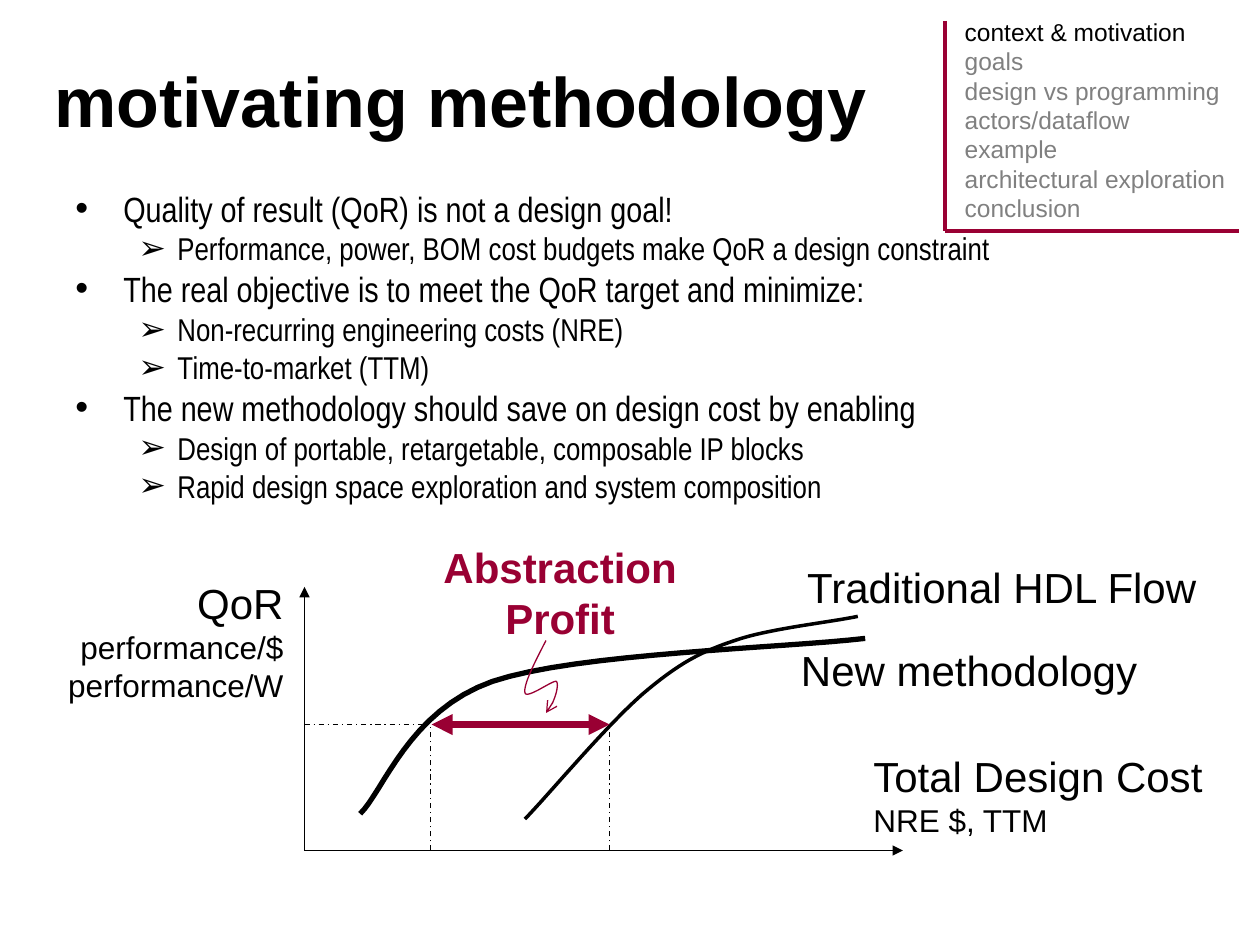
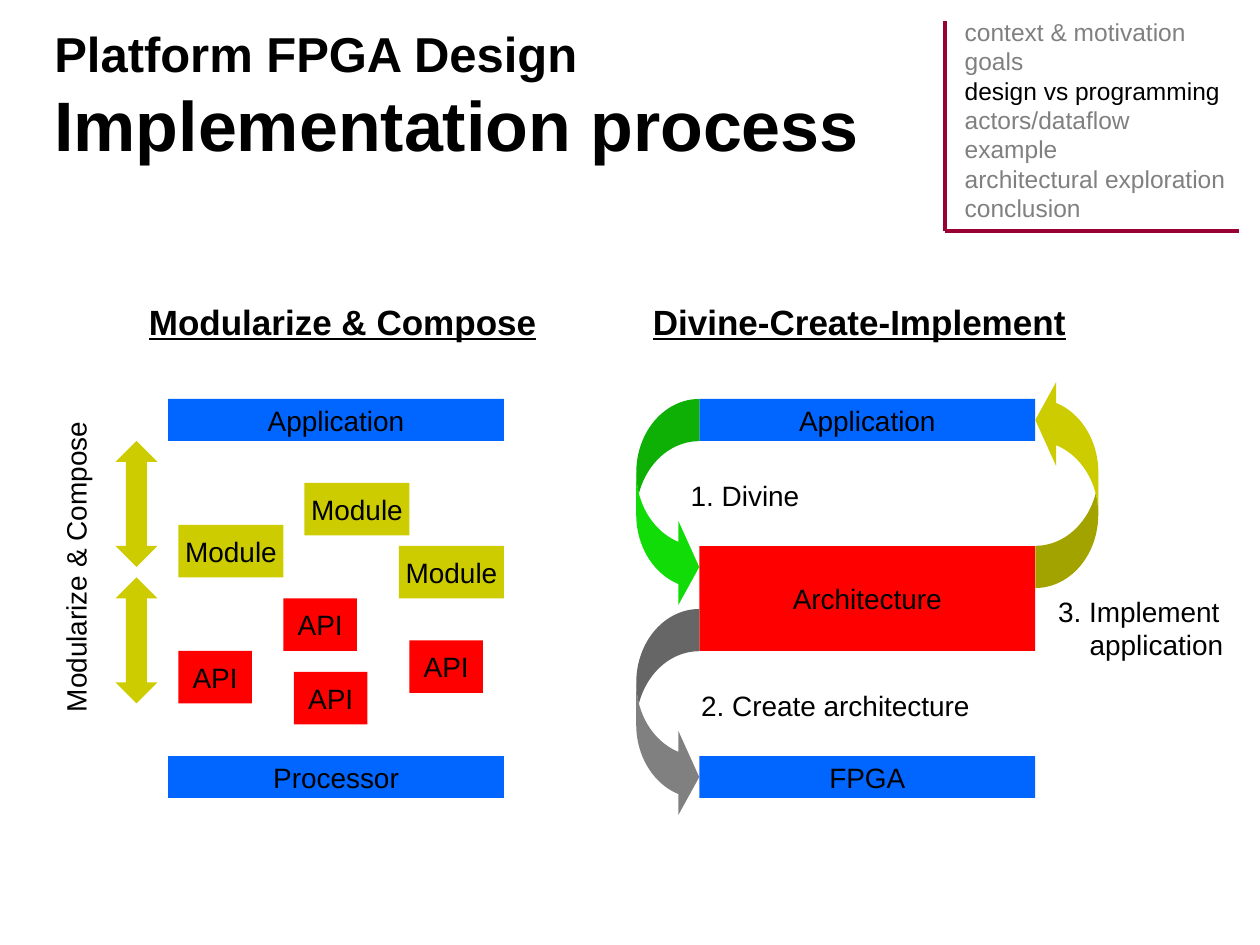
import pptx
import pptx.util
import pptx.dml.color
import pptx.enum.dml
import pptx.enum.shapes
import pptx.enum.text
import pptx.oxml.ns
import lxml.etree

COLORS = {
    "ink": "000000", "muted": "808080", "accent": "990033", "blue": "0066FF",
    "red": "FF0000", "olive": "CCCC00", "green": "12DC08",
}
RGB = {name: pptx.dml.color.RGBColor.from_string(value) for name, value in COLORS.items()}
CELL = pptx.util.Inches(1) / 12  # the slide is a grid of 120 columns by 90 rows
SHAPE = pptx.enum.shapes.MSO_SHAPE
ALIGN = pptx.enum.text.PP_ALIGN
ANCHOR = pptx.enum.text.MSO_ANCHOR
FIT_SHAPE = pptx.enum.text.MSO_AUTO_SIZE.SHAPE_TO_FIT_TEXT
STRAIGHT = pptx.enum.shapes.MSO_CONNECTOR.STRAIGHT
DASH_DOT = pptx.enum.dml.MSO_LINE.DASH_DOT
qn = pptx.oxml.ns.qn


def add_text(page, at, paragraphs, align=ALIGN.LEFT, wrap=False, inset=True, fill=None,
             anchor=ANCHOR.TOP, color="ink", **font):
    """Each paragraph is a list of (text, font values); with a fill the box is a rectangle."""
    place = [round(value * CELL) for value in at]
    if fill:
        box = page.shapes.add_shape(SHAPE.RECTANGLE, *place)
        box.shadow.inherit = False
        box.fill.solid()
        box.fill.fore_color.rgb = RGB[fill]
        box.line.fill.background()
    else:
        box = page.shapes.add_textbox(*place)
    frame = box.text_frame
    frame.word_wrap, frame.vertical_anchor = wrap, anchor
    if not wrap and not fill:
        frame.auto_size = FIT_SHAPE  # an unwrapped label grows with its text
    for side, inches in {"left": 0.1, "top": 0.05, "right": 0.1, "bottom": 0.05}.items():
        setattr(frame, f"margin_{side}", pptx.util.Inches(inches if inset else 0))
    for index, spans in enumerate(paragraphs):
        para = frame.add_paragraph() if index else frame.paragraphs[0]
        para.alignment = align
        for text, changes in spans:
            values = {"name": "Arial", "size": 16, "color": color, **font, **changes}
            tint = RGB[values.pop("color")]
            values["size"] = pptx.util.Pt(values["size"])
            for number, line in enumerate(text.split("\n")):
                if number:
                    para.add_line_break()
                if not line:
                    continue
                span = para.add_run()
                span.text = line
                span.font.color.rgb = tint
                for key, value in values.items():
                    setattr(span.font, key, value)
    return box


def style_line(shape, color, width, dash=None, **ends):
    shape.line.color.rgb = RGB[color]
    shape.line.width = pptx.util.Pt(width)
    if dash:
        shape.line.dash_style = dash
    properties = shape._element.spPr
    for end in ("head", "tail"):
        if end in ends:
            lxml.etree.SubElement(properties.find(qn("a:ln")), qn(f"a:{end}End"), type=ends[end])
    lxml.etree.SubElement(properties, qn("a:effectLst"))


deck = pptx.Presentation()
deck.slide_width, deck.slide_height = round(120 * CELL), round(90 * CELL)

# Title and agenda corner of both slides
agenda = ["context & motivation", "goals", "design vs programming", "actors/dataflow",
          "example", "architectural exploration", "conclusion"]
titles = [
    ((4, 2, 108.8, 15), [("motivating methodology", {})], "context & motivation"),
    ((4, 2.5, 108, 13), [("Platform FPGA Design\n", {"size": 28}),
                         ("Implementation process", {})], "design vs programming"),
]
pages = []
for place, title, current in titles:
    page = deck.slides.add_slide(deck.slide_layouts[6])
    add_text(page, place, [title], wrap=True, anchor=ANCHOR.MIDDLE, size=40, bold=True)
    add_text(page, (90.7, 1, 27.4, 20.9),
             [[(topic, {"color": "ink" if topic == current else "muted"})] for topic in agenda],
             size=14)
    for ends in [(90, 2, 90, 22), (118, 22, 90, 22)]:
        rule = page.shapes.add_connector(STRAIGHT, *[round(value * CELL) for value in ends])
        style_line(rule, "accent", 2)
    pages.append(page)
motivation, process = pages

# Slide 1: bullets
points = [
    (0, "Quality of result (QoR) is not a design goal!"),
    (1, "Performance, power, BOM cost budgets make QoR a design constraint"),
    (0, "The real objective is to meet the QoR target and minimize:"),
    (1, "Non-recurring engineering costs (NRE)"),
    (1, "Time-to-market (TTM)"),
    (0, "The new methodology should save on design cost by enabling"),
    (1, "Design of portable, retargetable, composable IP blocks"),
    (1, "Rapid design space exploration and system composition"),
]
levels = [
    {"size": 20, "before": 5, "left": 0.38, "hang": -0.38, "bullet": "•"},
    {"size": 18, "before": 4.5, "left": 0.81, "hang": -0.31, "bullet": "➢"},
]
body = add_text(motivation, (6, 18, 104, 34),
                [[(text, {"size": levels[level]["size"]})] for level, text in points],
                wrap=True, name="Arial Narrow")
for index, (para, (level, text)) in enumerate(zip(body.text_frame.paragraphs, points)):
    look = levels[level]
    para.level, para.line_spacing = level, 0.8
    para.space_before = pptx.util.Pt(look["before"] if index else 0)
    properties = para._p.get_or_add_pPr()
    properties.set("marL", str(pptx.util.Inches(look["left"])))
    properties.set("indent", str(pptx.util.Inches(look["hang"])))
    lxml.etree.SubElement(properties, qn("a:buSzPct"), val="105000")
    lxml.etree.SubElement(properties, qn("a:buFont"), typeface="Arial")
    lxml.etree.SubElement(properties, qn("a:buChar"), char=look["bullet"])

# Slide 1: cost and quality diagram
small = {"size": 18}
diagram_labels = [
    ((82, 70.9, 35, 9.6), [("Total Design Cost\n", {}), ("NRE $, TTM", small)], {}),
    ((75.7, 52.9, 41.6, 6), [("Traditional HDL Flow", {})], {}),
    ((75.1, 60.8, 37.3, 6), [("New methodology", {})], {}),
    ((4, 55, 23, 12), [("QoR\n", {}), ("performance/$\nperformance/W", small)],
     {"align": ALIGN.RIGHT, "inset": False}),
    ((36.8, 51, 33.1, 10.8), [("Abstraction\nProfit", {})],
     {"align": ALIGN.CENTER, "color": "accent", "bold": True}),
]
for place, spans, look in diagram_labels:
    add_text(motivation, place, [spans], wrap=True, size=24, **look)

# Each curve is a chain of cubic segments: a start, then three points per segment
curves = [
    ([(34.3, 77.5), (36.5, 75.4), (38.9, 67.7), (46.9, 64.9),
      (54.8, 62.2), (75, 61.7), (82.4, 60.8)], ("ink", 3), {}),
    ([(50, 78), (52, 76), (58.3, 68.4), (61.8, 65.6), (65.2, 62.8), (67.2, 61.9),
      (70.6, 60.8), (73.9, 59.8), (79.4, 59.2), (81.7, 58.7)], ("ink", 2), {}),
    ([(52, 61), (50.9, 63.1), (49.8, 65.3), (50, 66), (50.2, 66.6), (52.7, 64.7),
      (53, 64.9), (53.3, 65.3), (52.7, 67.2), (52, 67.9)], ("accent", 0.75), {"tail": "arrow"}),
]
STEPS = 16
for knots, pen, ends in curves:
    trace = []
    for first in range(0, len(knots) - 1, 3):
        for step in range(1, STEPS + 1):
            t = step / STEPS
            weights = [(1 - t) ** 3, 3 * t * (1 - t) ** 2, 3 * t * t * (1 - t), t ** 3]
            trace.append([sum(weight * knot[axis] for weight, knot
                              in zip(weights, knots[first:first + 4])) * CELL
                          for axis in (0, 1)])
    builder = motivation.shapes.build_freeform(*[round(value * CELL) for value in knots[0]])
    builder.add_line_segments(trace, close=False)
    curve = builder.convert_to_shape()
    curve.fill.background()
    style_line(curve, *pen, **ends)

axis_style = {"color": "ink", "width": 0.75, "tail": "triangle"}
guide_style = {"color": "ink", "width": 0.75, "dash": DASH_DOT}
profit_style = {"color": "accent", "width": 4, "head": "triangle", "tail": "triangle"}
for ends, look in [
    ((29, 81, 86, 81), axis_style),
    ((29, 81, 29, 55.9), axis_style),
    ((58.05, 81, 58.05, 69), guide_style),
    ((41, 81, 41, 69), guide_style),
    ((29, 69, 41, 69), guide_style),
    ((58.05, 69, 41.1, 69), profit_style),
]:
    line = motivation.shapes.add_connector(STRAIGHT, *[round(value * CELL) for value in ends])
    style_line(line, **look)

# Slide 2: blocks, grouped by size and colour
LEFT_STACK, RIGHT_STACK = 16, 66.6
blocks = [
    ("blue", 32, 4, [("Application", LEFT_STACK, 38), ("Processor", LEFT_STACK, 72),
                     ("Application", RIGHT_STACK, 38), ("FPGA", RIGHT_STACK, 72)]),
    ("red", 32, 10, [("Architecture", RIGHT_STACK, 52)]),
    ("red", 7, 5, [("API", 17, 62), ("API", 28, 64), ("API", 27, 57), ("API", 39, 61)]),
    ("olive", 10, 5, [("Module", 17, 50), ("Module", 29, 46), ("Module", 38, 52)]),
]
for fill, width, height, members in blocks:
    for text, left, top in members:
        add_text(process, (left, top, width, height), [[(text, {})]], fill=fill,
                 align=ALIGN.CENTER, anchor=ANCHOR.MIDDLE)

# Slide 2: arrows
turn = (SHAPE.CURVED_RIGHT_ARROW, (0.67, 1.33, 0.33), 6, 20)
span_arrow = (SHAPE.UP_DOWN_ARROW, (0.5, 0.6), 4, 12)
for (kind, adjustments, width, height), left, top, fill, rotation in [
    (turn, RIGHT_STACK - 6, 38, "green", 0),
    (turn, RIGHT_STACK - 6, 58, "muted", 0),
    (turn, RIGHT_STACK + 32, 36, "olive", 180),
    (span_arrow, 11, 42, "olive", 0),
    (span_arrow, 11, 55, "olive", 0),
]:
    arrow = process.shapes.add_shape(
        kind, *[round(value * CELL) for value in (left, top, width, height)])
    # The up-down arrow keeps its head length before its shaft width
    ordered = reversed(adjustments) if kind == SHAPE.UP_DOWN_ARROW else adjustments
    for index, value in enumerate(ordered):
        arrow.adjustments[index] = value
    arrow.rotation = rotation
    arrow.shadow.inherit = False
    arrow.fill.solid()
    arrow.fill.fore_color.rgb = RGB[fill]
    arrow.line.fill.background()

# Slide 2: headings and step labels
for text, left, width in [("Modularize & Compose", 13, 39.4),
                          ("Divine-Create-Implement", 61, 41.8)]:
    add_text(process, (left, 28, width, 5.3), [[(text, {})]], size=20, bold=True, underline=True)
add_text(process, (64.6, 45, 12.9, 4.4), [[("1. Divine", {})]])
add_text(process, (65.6, 65, 28, 4.4), [[("2. Create architecture", {})]])
implement = add_text(process, (99.6, 56, 18.2, 7.7),
                     [[("3. Implement", {})], [("application", {})]])
implement.text_frame.paragraphs[1]._p.get_or_add_pPr().set(
    "marL", str(pptx.util.Inches(0.25)))
side_label = add_text(process, (-7.9, 51.7, 30.2, 4.4), [[("Modularize & Compose", {})]])
side_label.rotation = 270

deck.save("out.pptx")
